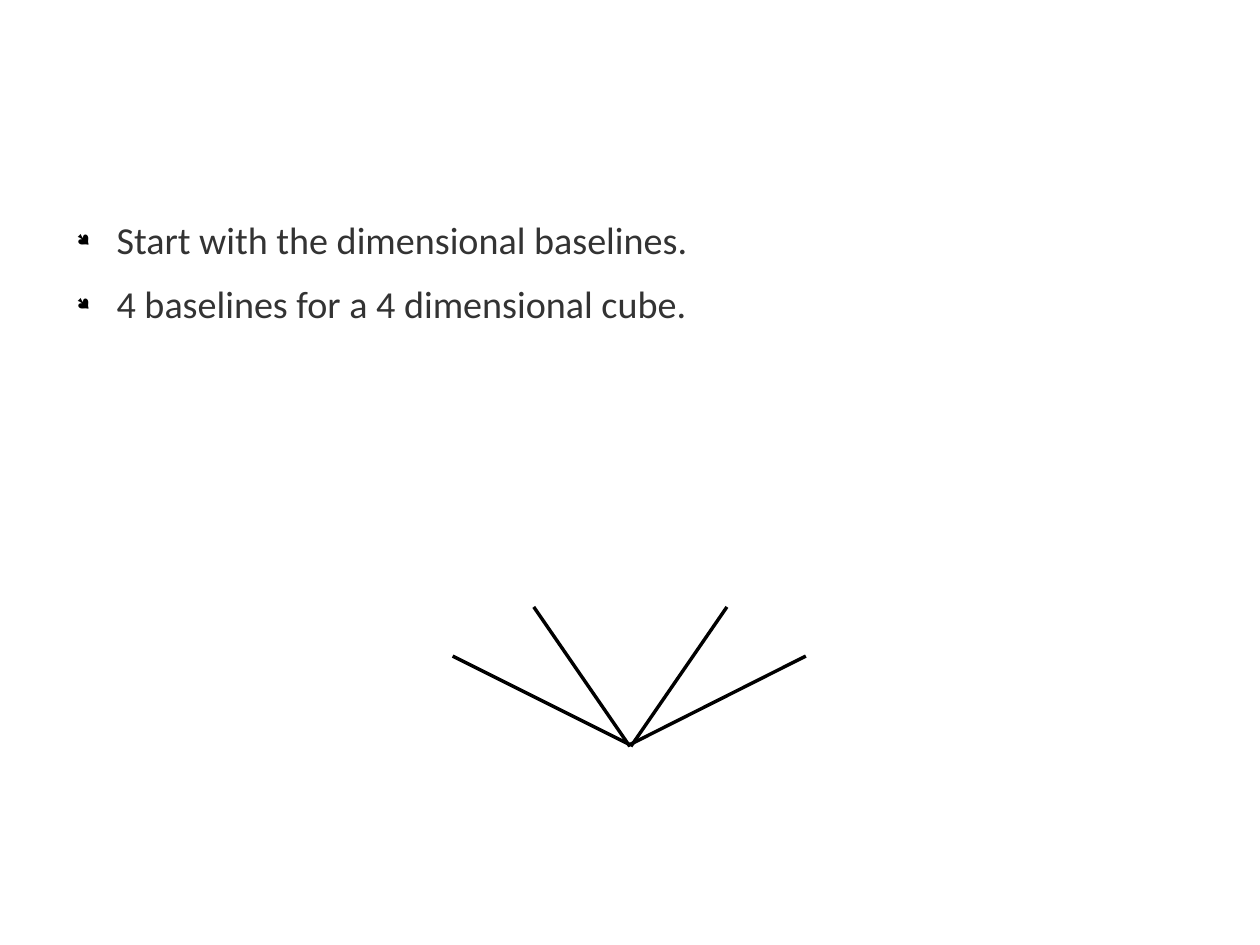
import pptx
import pptx.util
import pptx.dml.color
import pptx.enum.shapes
import lxml.etree

WIDTH, HEIGHT = pptx.util.Cm(28), pptx.util.Cm(21)
BLACK = pptx.dml.color.RGBColor(0x00, 0x00, 0x00)
GRAY = pptx.dml.color.RGBColor(0x33, 0x33, 0x33)
POINTS = ["Start with the dimensional baselines.", "4 baselines for a 4 dimensional cube."]
BASELINES = [
    ((3.96, 5.74), (5.52, 6.52)),
    ((4.67, 5.31), (5.51, 6.53)),
    ((5.5, 6.52), (7.05, 5.74)),
    ((5.52, 6.53), (6.36, 5.31)),
]
BODY = (0.55, 1.94, 9.92, 5.46)
FONT = {"name": "Calibri", "size": pptx.util.Pt(24)}
SPACING = {"line_spacing": 0.9, "space_after": pptx.util.Pt(14.1)}
FRAME = {"word_wrap": True, "margin_left": 0, "margin_top": 0, "margin_right": 0, "margin_bottom": 0}
INDENT = {"marL": 0.47, "indent": -0.35}
NAMESPACE = "http://schemas.openxmlformats.org/drawingml/2006/main"


def add_element(parent, tag, **values):
    element = lxml.etree.SubElement(parent, f"{{{NAMESPACE}}}{tag}")
    for name, value in values.items():
        element.set(name, value)
    return element


def apply_format(target, values):
    for name, value in values.items():
        setattr(target, name, value)


def add_points(page):
    box = page.shapes.add_textbox(*map(pptx.util.Inches, BODY))
    apply_format(box.text_frame, FRAME)
    box.text_frame.text = "\n".join(POINTS)
    for para in box.text_frame.paragraphs:
        apply_format(para, SPACING)
        properties = para._p.get_or_add_pPr()
        for name, length in INDENT.items():
            properties.set(name, str(pptx.util.Inches(length)))
        add_element(add_element(properties, "buClr"), "srgbClr", val=str(BLACK))
        add_element(properties, "buSzPct", val="45000")
        add_element(properties, "buFont", typeface="Wingdings", charset="2")
        add_element(properties, "buChar", char="●")
        span = para.runs[0]
        apply_format(span.font, FONT)
        span.font.color.rgb = GRAY


def add_baselines(page):
    for start, end in BASELINES:
        line = page.shapes.add_connector(
            pptx.enum.shapes.MSO_CONNECTOR.STRAIGHT, *map(pptx.util.Inches, start + end))
        line.line.color.rgb = BLACK
        line.line.width = pptx.util.Pt(2.15)
        add_element(line._element.spPr, "effectLst")


def main():
    """Build the slide on the dimensional baselines of a cube."""
    deck = pptx.Presentation()
    deck.slide_width = WIDTH
    deck.slide_height = HEIGHT
    page = deck.slides.add_slide(deck.slide_layouts[6])
    add_baselines(page)
    add_points(page)
    deck.save("out.pptx")


if __name__ == "__main__":
    main()
